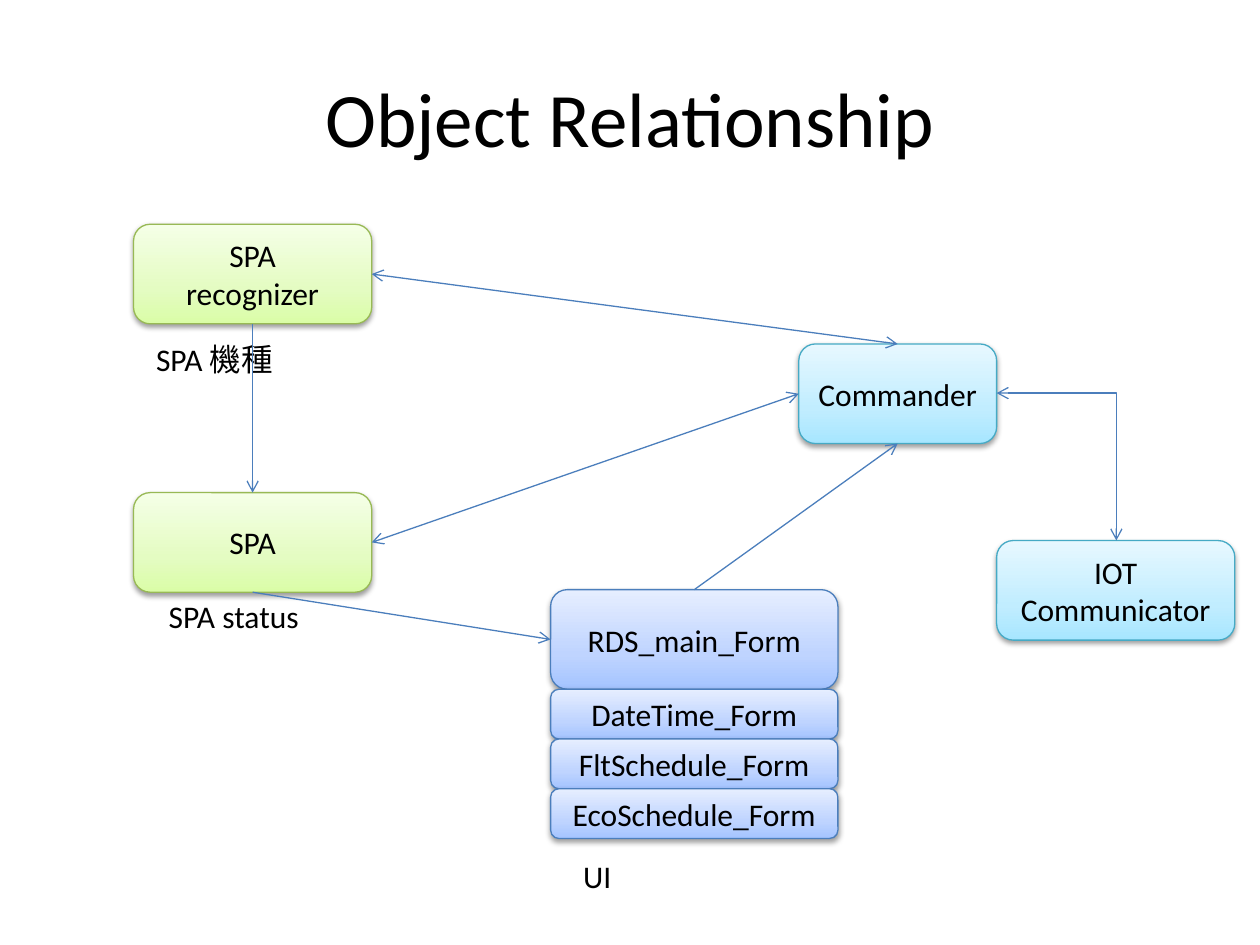
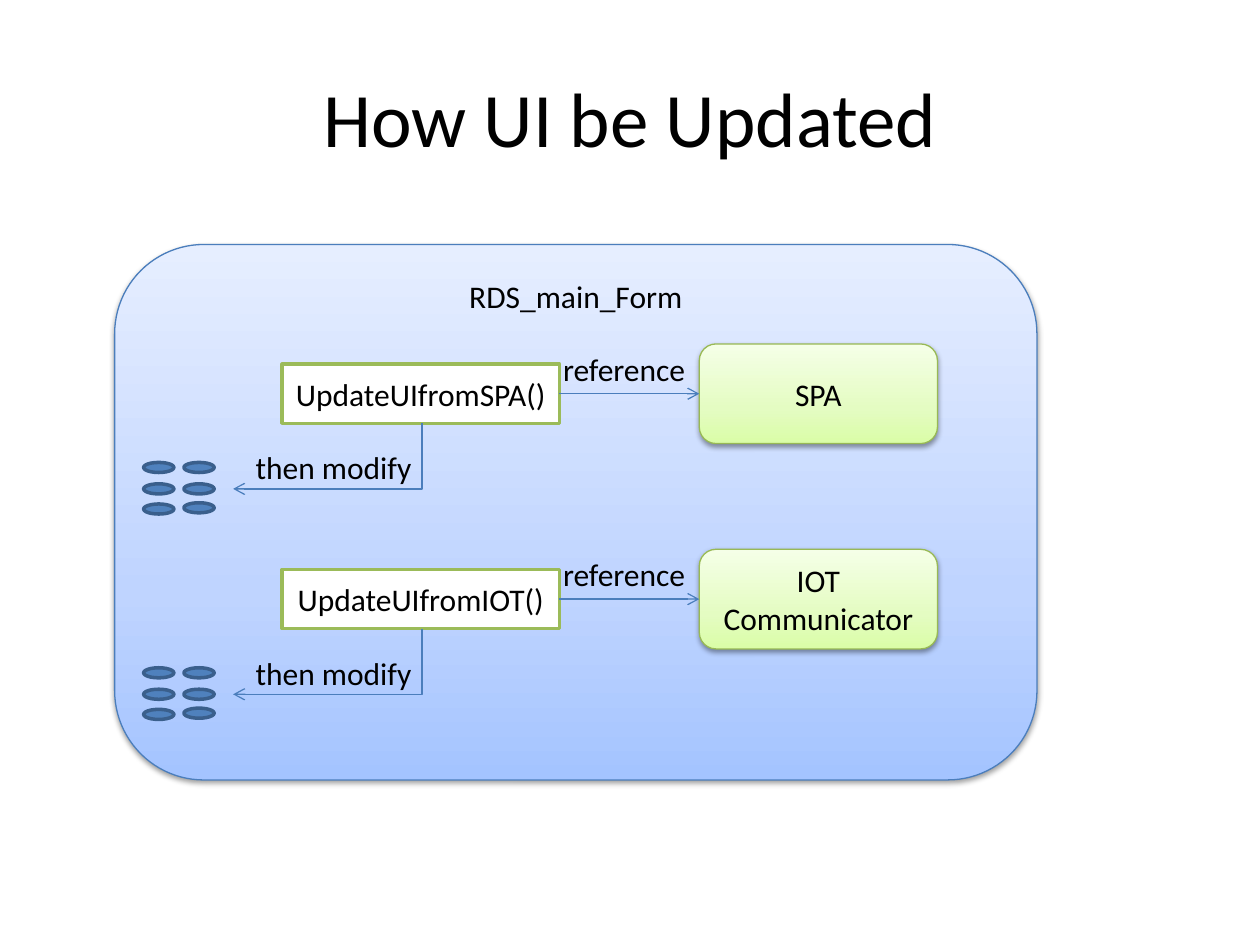
from lxml.etree import SubElement
from pptx import Presentation
from pptx.dml.color import RGBColor
from pptx.enum.shapes import MSO_CONNECTOR as Link, MSO_SHAPE as Preset
from pptx.enum.text import MSO_ANCHOR as Anchor, MSO_AUTO_SIZE as AutoSize, PP_ALIGN as Align
from pptx.oxml.ns import qn
from pptx.util import Inches, Pt

TOP, LEFT, BOTTOM, RIGHT = range(4)
GREEN = ("98B955", ("DAFDA7", "E4FCC2", "F5FFE7"))
CYAN = ("46AAC5", ("A7E6FF", "C1EDFF", "E7F8FF"))
BLUE = ("4B7EBC", ("A4C4FF", "BFD4FF", "E6EEFF"))
GRADIENT_POSITIONS = (0, 35000, 100000)
BOX_HEIGHT = 0.79
BOX_WIDTH = 1.89


def color(value):
    return RGBColor.from_string(value)


class SlideBuilder:
    font = "Calibri"
    text_color = "000000"
    arrow_color = "4B7EBC"

    def __init__(self):
        self.deck = Presentation()
        self.deck.slide_width = Inches(10)
        self.deck.slide_height = Inches(7.5)
        self.page = None

    def start_page(self, title):
        self.page = self.deck.slides.add_slide(self.deck.slide_layouts[6])
        box = self.page.shapes.add_textbox(Inches(0.5), Inches(0.3), Inches(9), Inches(1.25))
        box.text_frame.word_wrap = True
        self.set_text(box, title, size=44)

    def set_text(self, box, text, size=18, align=Align.CENTER, anchor=Anchor.MIDDLE):
        frame = box.text_frame
        frame.text = text
        frame.vertical_anchor = anchor
        for para in frame.paragraphs:
            para.alignment = align
            for span in para.runs:
                span.font.name = self.font
                span.font.size = Pt(size)
                span.font.color.rgb = color(self.text_color)

    def shape(self, preset, left, top, width, height, line, line_width):
        shape = self.page.shapes.add_shape(
            preset, Inches(left), Inches(top), Inches(width), Inches(height))
        shape.shadow.inherit = False
        shape.line.color.rgb = color(line)
        shape.line.width = Pt(line_width)
        return shape

    def flat(self, preset, left, top, width, height, fill, line):
        shape = self.shape(preset, left, top, width, height, line, 2)
        shape.fill.solid()
        shape.fill.fore_color.rgb = color(fill)
        return shape

    def card(self, text, left, top, width, height, palette, anchor=Anchor.MIDDLE):
        line, shades = palette
        card = self.shape(Preset.ROUNDED_RECTANGLE, left, top, width, height, line, 0.75)
        self.shade(card, shades)
        self.cast_shadow(card)
        self.set_text(card, text, anchor=anchor)
        return card

    def shade(self, shape, shades):
        shape.fill.gradient()
        shape.fill.gradient_angle = 90
        stops = shape.element.spPr.find(qn("a:gradFill")).find(qn("a:gsLst"))
        for stop in list(stops):
            stops.remove(stop)
        for position, value in zip(GRADIENT_POSITIONS, shades):
            stop = SubElement(stops, qn("a:gs"), pos=str(position))
            SubElement(stop, qn("a:srgbClr"), val=value)

    def cast_shadow(self, shape):
        effects = shape.element.spPr.find(qn("a:effectLst"))
        shadow = SubElement(effects, qn("a:outerShdw"), blurRad="40000", dist="20000",
                            dir="5400000", rotWithShape="0")
        tint = SubElement(shadow, qn("a:srgbClr"), val="000000")
        SubElement(tint, qn("a:alpha"), val="38000")

    def label(self, text, left, top, width, wrap=False):
        box = self.page.shapes.add_textbox(
            Inches(left), Inches(top), Inches(width), Inches(0.4))
        box.text_frame.word_wrap = wrap
        box.text_frame.auto_size = AutoSize.SHAPE_TO_FIT_TEXT
        self.set_text(box, text, align=Align.LEFT, anchor=Anchor.TOP)

    def style_arrow(self, connector, both):
        connector.line.color.rgb = color(self.arrow_color)
        connector.line.width = Pt(0.75)
        properties = connector.element.spPr
        line = properties.find(qn("a:ln"))
        for end in ("a:headEnd", "a:tailEnd") if both else ("a:tailEnd",):
            SubElement(line, qn(end), type="arrow")
        SubElement(properties, qn("a:effectLst"))

    def arrow(self, source, source_side, target, target_side, both=False):
        connector = self.page.shapes.add_connector(Link.STRAIGHT, 0, 0, 0, 0)
        connector.begin_connect(source, source_side)
        connector.end_connect(target, target_side)
        self.style_arrow(connector, both)

    def elbow(self, start, end, down_first=False, both=False):
        (x1, y1), (x2, y2) = start, end
        width, height = abs(x2 - x1), abs(y2 - y1)
        left, top = min(x1, x2), min(y1, y2)
        if down_first:
            left += (width - height) / 2
            top += (height - width) / 2
            width, height = height, width
        connector = self.page.shapes.add_connector(
            Link.ELBOW, Inches(left), Inches(top), Inches(left + width), Inches(top + height))
        properties = connector.element.spPr
        properties.find(qn("a:prstGeom")).set("prst", "bentConnector2")
        if down_first:
            properties.find(qn("a:xfrm")).set("rot", "5400000")
        self.style_arrow(connector, both)


def build_relationship(builder):
    builder.start_page("Object Relationship")
    spa = builder.card("SPA", 1.06, 3.91, BOX_WIDTH, BOX_HEIGHT, GREEN)
    builder.card("IOT\vCommunicator", 7.91, 4.29, BOX_WIDTH, BOX_HEIGHT, CYAN)
    recognizer = builder.card("SPA\nrecognizer", 1.06, 1.78, BOX_WIDTH, BOX_HEIGHT, GREEN)
    commander = builder.card("Commander", 6.34, 2.73, 1.57, BOX_HEIGHT, CYAN)
    main_form = builder.card("RDS_main_Form", 4.37, 4.68, 2.28, BOX_HEIGHT, BLUE)
    for index, form in enumerate(("DateTime_Form", "FltSchedule_Form", "EcoSchedule_Form")):
        builder.card(form, 4.37, 5.47 + index * BOX_HEIGHT / 2, 2.28, BOX_HEIGHT / 2, BLUE)

    builder.label("UI", 4.53, 6.75, 0.43)
    builder.label("SPA status", 1.24, 4.69, 1.24)
    builder.label("SPA 機種", 1.14, 2.65, 1.14, wrap=True)

    builder.arrow(recognizer, BOTTOM, spa, TOP)
    builder.arrow(recognizer, RIGHT, commander, TOP, both=True)
    builder.arrow(spa, RIGHT, commander, LEFT, both=True)
    builder.elbow((7.91, 3.12), (8.86, 4.29), both=True)
    builder.arrow(main_form, TOP, commander, BOTTOM)
    builder.arrow(spa, BOTTOM, main_form, LEFT)


def build_update_row(builder, top, method, source_name):
    update = builder.flat(Preset.RECTANGLE, 2.24, top + 0.16, 2.2, 0.47, "FFFFFF", "9BBB59")
    builder.set_text(update, method)
    for left, offsets in ((1.14, (0.94, 1.11, 1.27)), (1.46, (0.94, 1.11, 1.26))):
        for offset in offsets:
            builder.flat(Preset.OVAL, left, top + offset, 0.24, 0.08, "4F81BD", "3A5F8C")
    source = builder.card(source_name, 5.55, top, BOX_WIDTH, BOX_HEIGHT, GREEN)
    builder.arrow(update, RIGHT, source, LEFT)
    builder.label("reference", 4.37, top, 1.18)
    builder.elbow((3.35, top + 0.63), (1.85, top + 1.15), down_first=True)
    builder.label("then modify", 1.93, top + 0.78, 1.45)


def build_update(builder):
    builder.start_page("How UI be Updated")
    builder.card("RDS_main_Form", 0.91, 1.94, 7.32, 4.25, BLUE, anchor=Anchor.TOP)
    build_update_row(builder, 2.73, "UpdateUIfromSPA()", "SPA")
    build_update_row(builder, 4.36, "UpdateUIfromIOT()", "IOT\nCommunicator")


def main():
    builder = SlideBuilder()
    build_relationship(builder)
    build_update(builder)
    builder.deck.save("out.pptx")


if __name__ == "__main__":
    main()
